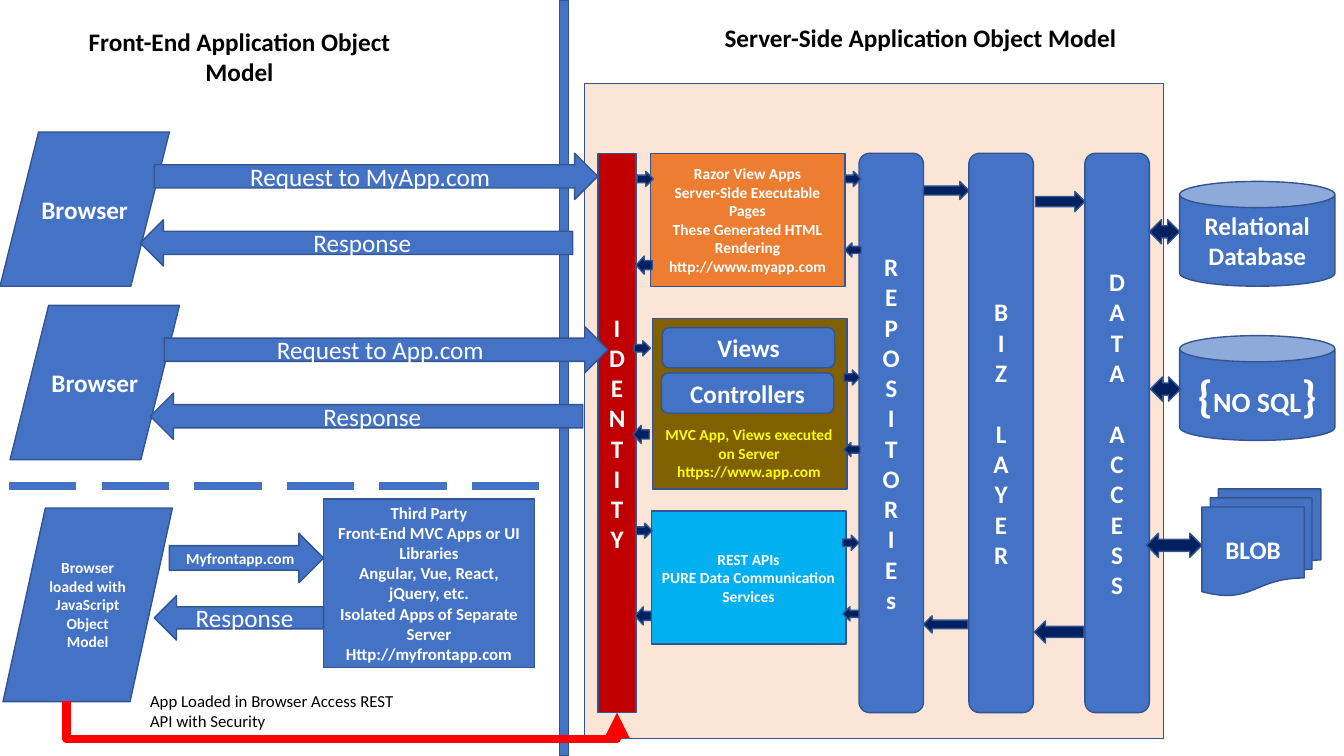
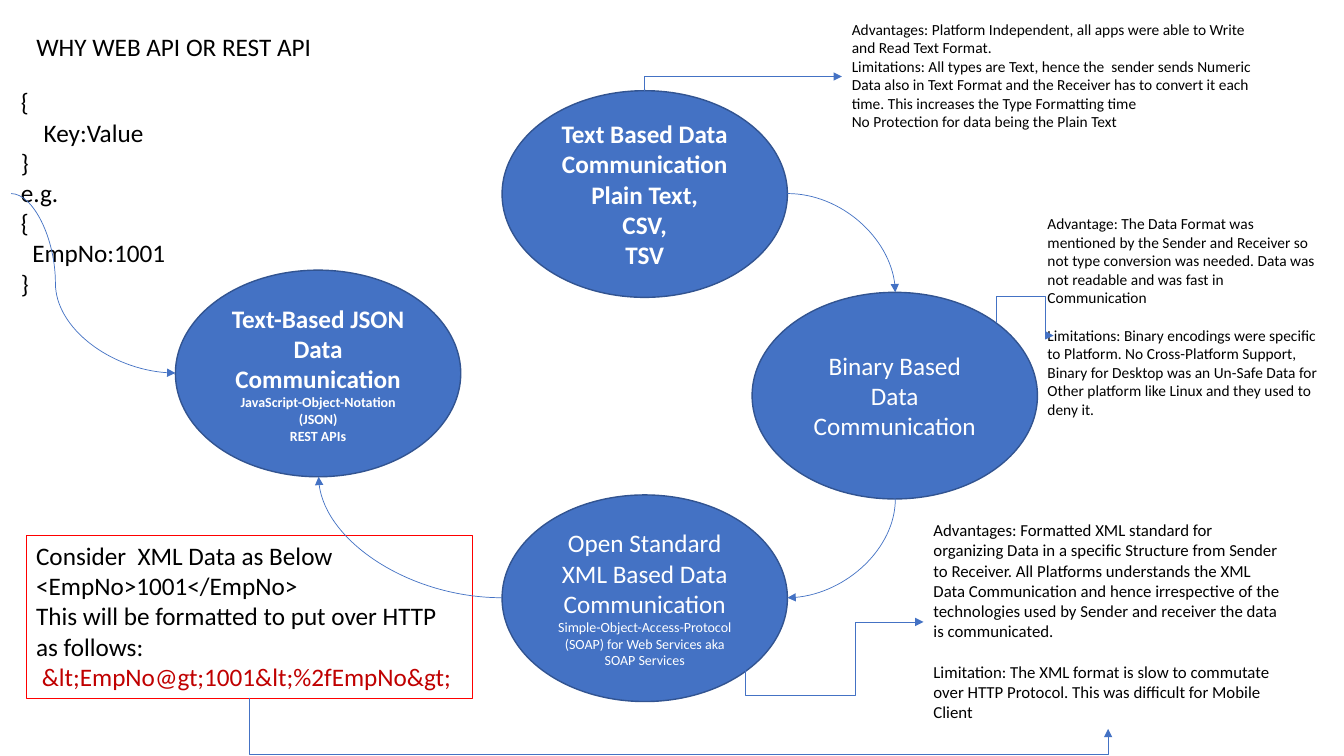
from lxml import etree
from pptx import Presentation
from pptx.dml.color import RGBColor
from pptx.enum import dml, shapes as sh, text as tx
from pptx.oxml.ns import qn
from pptx.util import Inches, Pt

BLUE, EDGE, NAVY, RED = "4472C4", "325491", "002060", "FF0000"
WHITE, BLACK, YELLOW, CRIMSON = "FFFFFF", "000000", "FFFF00", "C00000"
FONT = "Calibri"
KIND = sh.MSO_SHAPE
LEFT, MID = tx.PP_ALIGN.LEFT, tx.PP_ALIGN.CENTER


def rgb(code):
    return RGBColor.from_string(code)


def inches(nums):
    return [Inches(n) for n in nums]


class Deck:
    def __init__(self):
        self.prs = Presentation()
        self.prs.slide_width, self.prs.slide_height = inches((13.33, 7.5))

    def page(self, title, box, align):
        self.slide = self.prs.slides.add_slide(self.prs.slide_layouts[5])
        head = self.slide.shapes.title
        head.left, head.top, head.width, head.height = inches(box)
        bold = align == MID
        self.label(head.text_frame, title, 18, BLACK, bold, align, grow=True)

    def label(self, frame, words, size, color, bold, align, grow=False, sub=""):
        """Fill a frame line by line; a blank line becomes space before the next."""
        frame.word_wrap = True
        frame.vertical_anchor = tx.MSO_ANCHOR.TOP if grow else tx.MSO_ANCHOR.MIDDLE
        if grow:
            frame.auto_size = tx.MSO_AUTO_SIZE.SHAPE_TO_FIT_TEXT
        lines = [(line, size) for line in words.split("\n")]
        lines += [(line, 10) for line in sub.split("\n") if line]
        par, gap = frame.paragraphs[0], 0
        for i, (line, pts) in enumerate(lines):
            if not line.strip():
                gap = pts * 1.22
                continue
            if i:
                par = frame.add_paragraph()
            if gap:
                par.space_before = Pt(gap)
                gap = 0
            par.alignment = align
            par.add_run().text = line
            font = par.font
            font.name, font.size, font.bold = FONT, Pt(pts), bold
            font.color.rgb = rgb(color)

    def text(self, box, words, size, color=BLACK, bold=False, align=LEFT):
        item = self.slide.shapes.add_textbox(*inches(box))
        self.label(item.text_frame, words, size, color, bold, align, grow=True)

    def shape(self, kind, box, words="", size=18, fill=BLUE, bold=True, sub=""):
        item = self.slide.shapes.add_shape(kind, *inches(box))
        item.shadow.inherit = False
        item.fill.solid()
        item.fill.fore_color.rgb = rgb(fill)
        item.line.color.rgb = rgb(EDGE)
        item.line.width = Pt(1)
        if words:
            self.label(item.text_frame, words, size, WHITE, bold, MID, sub=sub)
        return item

    def frame(self, box, words, color):
        item = self.slide.shapes.add_shape(KIND.RECTANGLE, *inches(box))
        item.shadow.inherit = False
        item.fill.background()
        item.line.color.rgb = rgb(color)
        item.line.width = Pt(0.75)
        self.label(item.text_frame, words, 18, BLACK, False, LEFT, grow=True)
        return item

    def link(self, geom, start, end, turn=0, flip="", adj=(),
             color=BLUE, width=0.5, dash=None, arrow=True):
        """Draw a connector whose box is turned about its middle by `turn` degrees."""
        (x1, y1), (x2, y2) = start, end
        w, h = abs(x2 - x1), abs(y2 - y1)
        if turn % 180:
            w, h = h, w
        x, y = (x1 + x2 - w) / 2, (y1 + y2 - h) / 2
        item = self.slide.shapes.add_connector(
            sh.MSO_CONNECTOR.STRAIGHT, *inches((x, y, x + w, y + h)))
        item.line.color.rgb = rgb(color)
        item.line.width = Pt(width)
        if dash:
            item.line.dash_style = dash
        props = item._element.spPr
        form = props.find(qn("a:xfrm"))
        if turn:
            form.set("rot", str(turn * 60000))
        for axis in flip:
            form.set("flip" + axis.upper(), "1")
        shape = props.find(qn("a:prstGeom"))
        shape.set("prst", geom)
        guides = shape.find(qn("a:avLst"))
        if guides is None:
            guides = etree.SubElement(shape, qn("a:avLst"))
        for i, part in enumerate(adj, 1):
            etree.SubElement(guides, qn("a:gd"), name=f"adj{i}",
                             fmla=f"val {round(part * 100000)}")
        if arrow:
            etree.SubElement(props.find(qn("a:ln")), qn("a:tailEnd"), type="triangle")
        etree.SubElement(props, qn("a:effectLst"))


def models(deck):
    deck.page("Server-Side Application Object Model", (5.93, 0.17, 6.4, 0.4), MID)
    deck.shape(KIND.RECTANGLE, (5.55, 0, 0.09, 7.5))
    deck.text((0.67, 0.21, 3.41, 0.71), "Front-End Application Object Model",
              18, bold=True, align=MID)
    deck.shape(KIND.RECTANGLE, (5.8, 0.83, 5.74, 6.5), fill="FBE5D6")

    for x, name in ((10.76, "DATA ACCESS"), (9.61, "BIZ LAYER"), (8.52, "REPOSITORIEs")):
        deck.shape(KIND.ROUNDED_RECTANGLE, (x, 1.52, 0.64, 5.55), "\n".join(name))
    deck.shape(KIND.RECTANGLE, (5.93, 1.52, 0.38, 5.55), "\n".join("IDENTITY"),
               fill=CRIMSON)

    deck.shape(KIND.RECTANGLE, (6.45, 1.52, 1.93, 1.32),
               "Razor View Apps\nServer-Side Executable Pages\n"
               "These Generated HTML Rendering\nhttp://www.myapp.com", 11, "ED7D31")
    deck.shape(KIND.RECTANGLE, (6.47, 3.16, 1.93, 1.69), fill="806000")
    for x, y, name in ((6.57, 3.25, "Views"), (6.56, 3.7, "Controllers")):
        deck.shape(KIND.ROUNDED_RECTANGLE, (x, y, 1.71, 0.4), name)
    deck.text((6.48, 4.17, 1.9, 0.66),
              "MVC App, Views executed on Server\nhttps://www.app.com",
              11, YELLOW, True, MID)
    deck.shape(KIND.RECTANGLE, (6.46, 5.07, 1.93, 1.32),
               "REST APIs\nPURE Data Communication Services", 11, "00B0F0")

    for dx, dy, host in ((0, 0, "MyApp.com"), (0.1, 1.72, "App.com")):
        deck.shape(KIND.PARALLELOGRAM, (dx, 1.31 + dy, 1.68, 1.53), "Browser")
        deck.shape(KIND.RIGHT_ARROW, (1.53 + dx, 1.52 + dy, 4.4, 0.46),
                   "Request to " + host, bold=False)
        deck.shape(KIND.LEFT_ARROW, (1.39 + dx, 2.18 + dy, 4.29, 0.46),
                   "Response", bold=False)

    deck.link("line", (0.09, 4.82), (5.5, 4.82), width=6,
              dash=dml.MSO_LINE.LONG_DASH, arrow=False)
    deck.shape(KIND.RECTANGLE, (3.21, 4.95, 2.09, 1.67),
               "Third Party\nFront-End MVC Apps or UI Libraries\n"
               "Angular, Vue, React, jQuery, etc.\n"
               "Isolated Apps of Separate Server\nHttp://myfrontapp.com", 12)
    deck.shape(KIND.PARALLELOGRAM, (0.03, 5.04, 1.68, 1.92),
               "Browser loaded with JavaScript Object Model", 11)
    deck.shape(KIND.RIGHT_ARROW, (1.68, 5.29, 1.53, 0.49), "Myfrontapp.com", 11)
    deck.shape(KIND.LEFT_ARROW, (1.53, 5.91, 1.68, 0.44), "Response", bold=False)

    deck.shape(KIND.CAN, (11.7, 1.8, 1.54, 1.04), "Relational Database")
    store = deck.shape(KIND.CAN, (11.7, 3.33, 1.54, 1.04), "{", 32)
    par = store.text_frame.paragraphs[0]
    name = par.add_run()
    name.text, name.font.size = "NO SQL", Pt(20)
    par.add_run().text = "}"
    deck.shape(KIND.FLOWCHART_MULTIDOCUMENT, (11.92, 4.85, 1.18, 1.06), "BLOB")

    flows = {
        KIND.RIGHT_ARROW: [
            (6.32, 1.7, 0.16, 0.15), (6.29, 3.38, 0.16, 0.15), (6.31, 5.19, 0.16, 0.15),
            (8.38, 1.7, 0.16, 0.15), (8.37, 3.67, 0.16, 0.15), (8.36, 5.31, 0.16, 0.15),
            (9.16, 1.8, 0.45, 0.18), (10.27, 1.9, 0.49, 0.2)],
        KIND.LEFT_ARROW: [
            (6.31, 2.54, 0.16, 0.18), (6.28, 4.22, 0.16, 0.18), (6.3, 6.02, 0.16, 0.18),
            (8.38, 2.41, 0.16, 0.14), (8.37, 4.39, 0.16, 0.14), (8.36, 6.02, 0.16, 0.14),
            (9.16, 6.11, 0.44, 0.17), (10.26, 6.16, 0.49, 0.22)],
        KIND.LEFT_RIGHT_ARROW: [
            (11.4, 2.18, 0.3, 0.24), (11.41, 3.74, 0.3, 0.24), (11.37, 5.29, 0.55, 0.24)],
    }
    for kind, boxes in flows.items():
        for box in boxes:
            deck.shape(kind, box, fill=NAVY)

    deck.text((1.39, 6.8, 2.83, 0.5),
              "App Loaded in Browser Access REST API with Security", 12)
    deck.link("bentConnector3", (0.66, 6.95), (6.12, 7.07), 270, "h", [3.18],
              color=RED, width=6)


def formats(deck):
    def oval(x, y, words, bold=False, sub=""):
        deck.shape(KIND.OVAL, (x, y, 2.83, 2.05), words, bold=bold, sub=sub)

    deck.page("WHY WEB API OR REST API", (0.26, 0.26, 12.71, 0.4), LEFT)
    oval(4.98, 0.9, "Text Based Data Communication\nPlain Text,\nCSV,\nTSV", True)
    deck.text((8.35, 0.15, 4.2, 1.21),
              "Advantages: Platform Independent, all apps were able to Write and Read "
              "Text Format.\nLimitations: All types are Text, hence the  sender sends "
              "Numeric Data also in Text Format and the Receiver has to convert it each "
              "time. This increases the Type Formatting time\n"
              "No Protection for data being the Plain Text", 11)
    deck.link("bentConnector2", (6.39, 0.9), (8.35, 0.76), 90, "hv")

    oval(7.46, 2.9, "Binary Based Data Communication")
    deck.link("curvedConnector2", (7.81, 1.92), (8.88, 2.9))
    deck.text((10.29, 2.08, 2.88, 2.14),
              "Advantage: The Data Format was mentioned by the Sender and Receiver so "
              "not type conversion was needed. Data was not readable and was fast in "
              "Communication\n\nLimitations: Binary encodings were specific to Platform. "
              "No Cross-Platform Support, Binary for Desktop was an Un-Safe Data for "
              "Other platform like Linux and they used to deny it.", 11)

    oval(4.98, 4.91, "Open Standard XML Based Data Communication",
         sub="Simple-Object-Access-Protocol (SOAP) for Web Services aka SOAP Services")
    deck.link("curvedConnector2", (8.88, 4.95), (7.81, 5.93), 90)
    deck.link("bentConnector4", (9.88, 3.2), (10.45, 3.33), 270, "h", [-1.98, 0.86])
    deck.text((9.16, 5.11, 3.65, 2.12),
              "Advantages: Formatted XML standard for organizing Data in a specific "
              "Structure from Sender to Receiver. All Platforms understands the XML Data "
              "Communication and hence irrespective of the technologies used by Sender "
              "and receiver the data is communicated.\n\nLimitation: The XML format is "
              "slow to commutate over HTTP Protocol. This was difficult for Mobile "
              "Client", 12)
    deck.link("bentConnector4", (7.39, 6.65), (9.16, 6.17), 90, "hv", [-0.52, 0.62])

    sample = deck.frame((0.26, 5.31, 4.43, 1.62),
                        "Consider  XML Data as Below\n<EmpNo>1001</EmpNo>\n"
                        "This will be formatted to put over HTTP as follows:\n"
                        " &lt;EmpNo@gt;1001&lt;%2fEmpNo&gt;", RED)
    sample.text_frame.paragraphs[-1].font.color.rgb = rgb(CRIMSON)
    deck.link("bentConnector3", (2.47, 6.92), (10.99, 7.23), 270, "h", [1.82])

    oval(1.74, 2.68, "Text-Based JSON Data Communication", True,
         "JavaScript-Object-Notation (JSON)\nREST APIs")
    deck.link("curvedConnector2", (4.98, 5.93), (3.16, 4.73), 180)
    deck.text((0.11, 0.81, 3.97, 2.22),
              "{\n    Key:Value\n}\ne.g.\n{\n  EmpNo:1001\n}", 18)
    deck.link("curvedConnector3", (0.11, 1.92), (1.74, 3.7), 180, "hv", [0.27])


def main():
    deck = Deck()
    models(deck)
    formats(deck)
    deck.prs.save("out.pptx")


if __name__ == "__main__":
    main()
